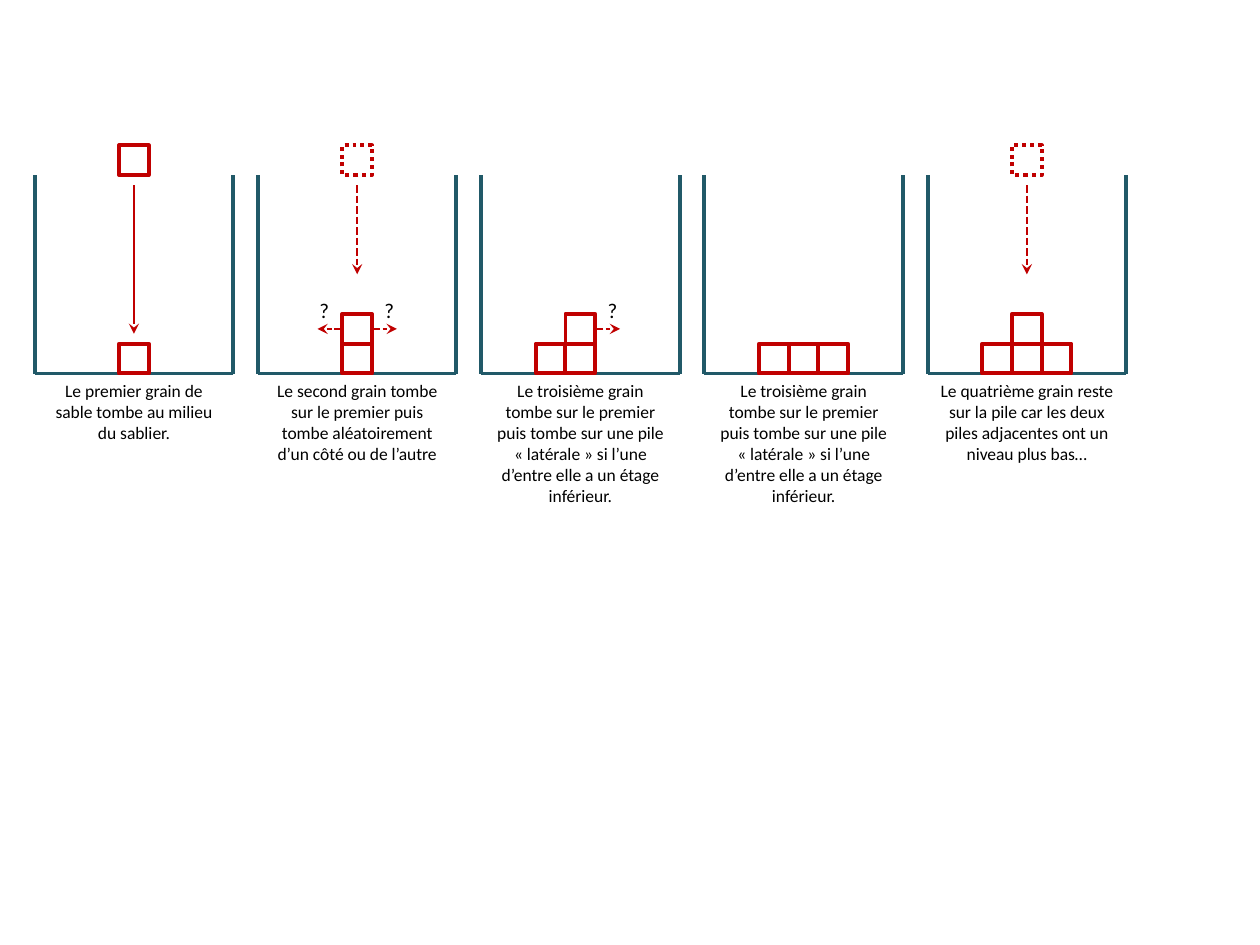
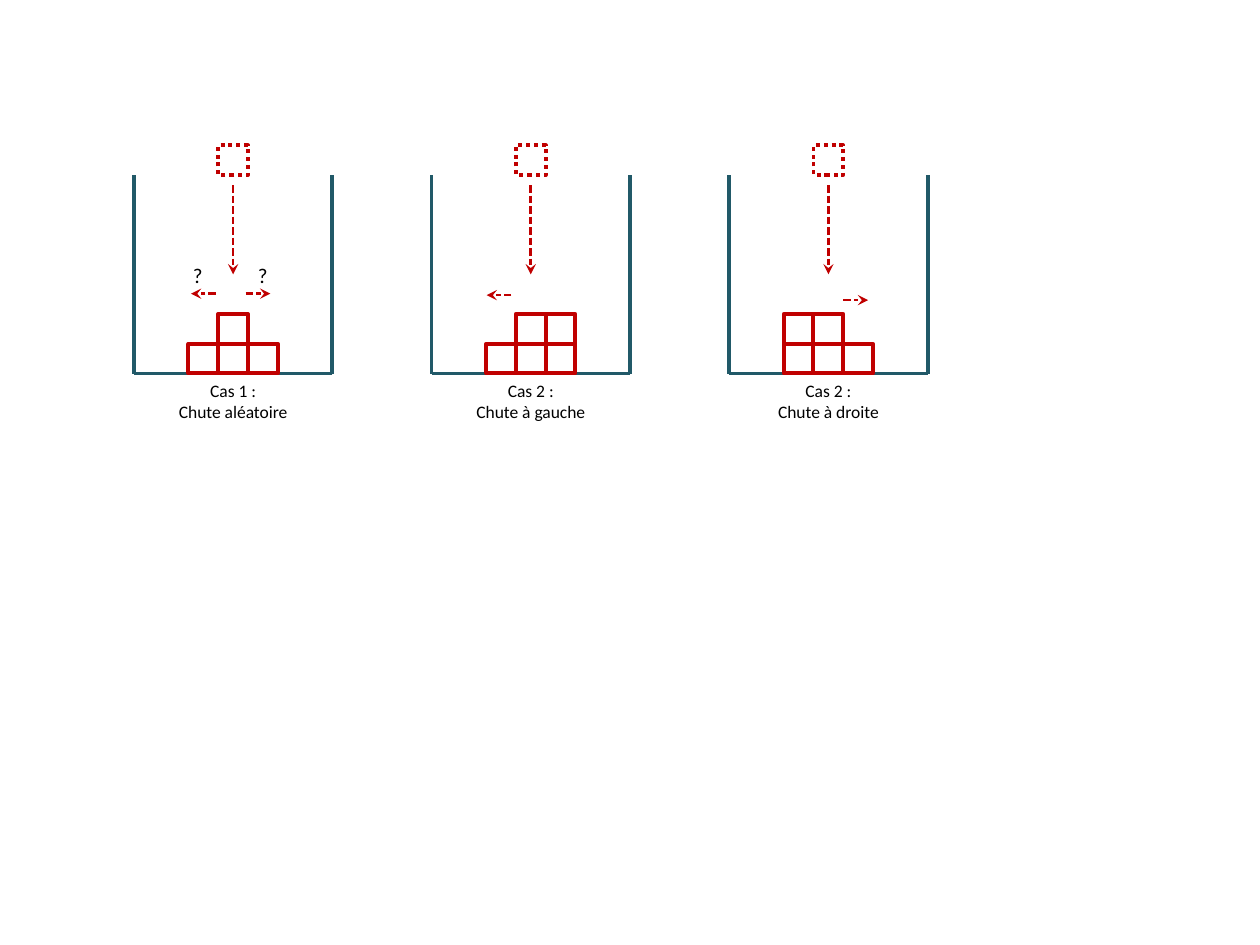
from lxml.etree import SubElement
from pptx import Presentation
from pptx.dml.color import RGBColor
from pptx.enum.dml import MSO_LINE
from pptx.enum.shapes import MSO_CONNECTOR, MSO_SHAPE
from pptx.enum.text import MSO_AUTO_SIZE, PP_ALIGN
from pptx.oxml.ns import qn
from pptx.util import Cm, Pt

WALL, SAND, INK = "215968", "C00000", "000000"
TOP, SIDE, GRAIN = 3.53, 4, 0.6  # cm
FLOOR = TOP + SIDE
CAPTION_LINE = 0.43

# Fall of a grain: arrow length, grain outline, arrow dash
DIRECT = (3, None, None)
BLOCKED = (1.8, MSO_LINE.ROUND_DOT, MSO_LINE.SQUARE_DOT)

THIRD = ("Le troisième grain tombe sur le premier puis tombe sur une pile "
         "« latérale » si l’une d’entre elle a un étage inférieur.")

# Each slide: left of the first box, step, and its panels.
# Panel: fall, grains (column, row), nudges (start from centre, direction, y, uncertain),
# caption paragraphs, caption line count
SLIDES = [
    (0.7, 4.5, [
        (DIRECT, [(0, 0)], [],
         ["Le premier grain de sable tombe au milieu du sablier."], 3),
        (BLOCKED, [(0, 0), (0, 1)], [(0.3, 1, 6.63, True), (-0.3, -1, 6.63, True)],
         ["Le second grain tombe sur le premier puis tombe aléatoirement "
          "d’un côté ou de l’autre"], 4),
        (None, [(0, 0), (-1, 0), (0, 1)], [(0.3, 1, 6.63, True)], [THIRD], 6),
        (None, [(0, 0), (-1, 0), (1, 0)], [], [THIRD], 6),
        (BLOCKED, [(0, 0), (-1, 0), (1, 0), (0, 1)], [],
         ["Le quatrième grain reste sur la pile car les deux piles adjacentes "
          "ont un niveau plus bas…"], 4),
    ]),
    (2.7, 6, [
        (BLOCKED, [(0, 0), (-1, 0), (1, 0), (0, 1)],
         [(0.25, 1, 5.92, True), (-0.35, -1, 5.92, True)],
         ["Cas 1 :", "Chute aléatoire"], 2),
        (BLOCKED, [(0, 0), (-1, 0), (1, 0), (0, 1), (1, 1)],
         [(-0.39, -1, 5.95, False)], ["Cas 2 :", "Chute à gauche"], 2),
        (BLOCKED, [(0, 0), (-1, 0), (1, 0), (0, 1), (-1, 1)],
         [(0.3, 1, 6.05, False)], ["Cas 2 :", "Chute à droite"], 2),
    ]),
]


def add_line(shapes, x1, y1, x2, y2, color, width, dash=None, arrow=False):
    line = shapes.add_connector(MSO_CONNECTOR.STRAIGHT, Cm(x1), Cm(y1), Cm(x2), Cm(y2))
    line.line.color.rgb = RGBColor.from_string(color)
    line.line.width = Pt(width)
    line.line.dash_style = dash
    if arrow:
        SubElement(line.line._get_or_add_ln(), qn("a:tailEnd"), type="stealth")
    SubElement(line._element.spPr, qn("a:effectLst"))


def add_text(shapes, x, y, w, h, paragraphs, size, align, wrap):
    tf = shapes.add_textbox(Cm(x), Cm(y), Cm(w), Cm(h)).text_frame
    tf.word_wrap = wrap
    tf.auto_size = MSO_AUTO_SIZE.SHAPE_TO_FIT_TEXT
    tf.text = "\n".join(paragraphs)
    for p in tf.paragraphs:
        p.alignment = align
        p.font.name = "Calibri"
        p.font.size = Pt(size)
        p.font.color.rgb = RGBColor.from_string(INK)


prs = Presentation()
prs.slide_width, prs.slide_height = Cm(25.4), Cm(19.05)

for first, step, panels in SLIDES:
    s = prs.slides.add_slide(prs.slide_layouts[6])
    for i, (fall, grains, nudges, caption, line_count) in enumerate(panels):
        left = first + i * step
        right, center = left + SIDE, left + SIDE / 2
        shapes = s.shapes.add_group_shape().shapes

        add_line(shapes, left, TOP, left, FLOOR, WALL, 2.25)
        add_line(shapes, right, FLOOR, left, FLOOR, WALL, 2.25)
        add_line(shapes, right, FLOOR, right, TOP, WALL, 2.25)

        squares = [(col, FLOOR - GRAIN * (row + 1), None) for col, row in grains]
        if fall:
            length, outline, dash = fall
            squares.append((0, TOP - GRAIN, outline))
            add_line(shapes, center, TOP + 0.2, center, TOP + 0.2 + length,
                     SAND, 1.5, dash, arrow=True)
        for col, y, outline in squares:
            sp = shapes.add_shape(MSO_SHAPE.RECTANGLE, Cm(center + GRAIN * (col - 0.5)),
                                  Cm(y), Cm(GRAIN), Cm(GRAIN))
            sp.shadow.inherit = False
            sp.fill.background()
            sp.line.color.rgb = RGBColor.from_string(SAND)
            sp.line.width = Pt(2.25)
            sp.line.dash_style = outline

        for offset, direction, y, uncertain in nudges:
            x = center + offset
            add_line(shapes, x, y, x + 0.5 * direction, y, SAND, 1.5,
                     MSO_LINE.SQUARE_DOT, arrow=True)
            if uncertain:
                add_text(shapes, x if direction > 0 else x - 0.71, y - 0.76, 0.71, 0.76,
                         ["?"], 12, PP_ALIGN.LEFT, wrap=False)

        add_text(s.shapes, left, FLOOR, SIDE, CAPTION_LINE * line_count + 0.25,
                 caption, 10, PP_ALIGN.CENTER, wrap=True)

prs.save("out.pptx")
